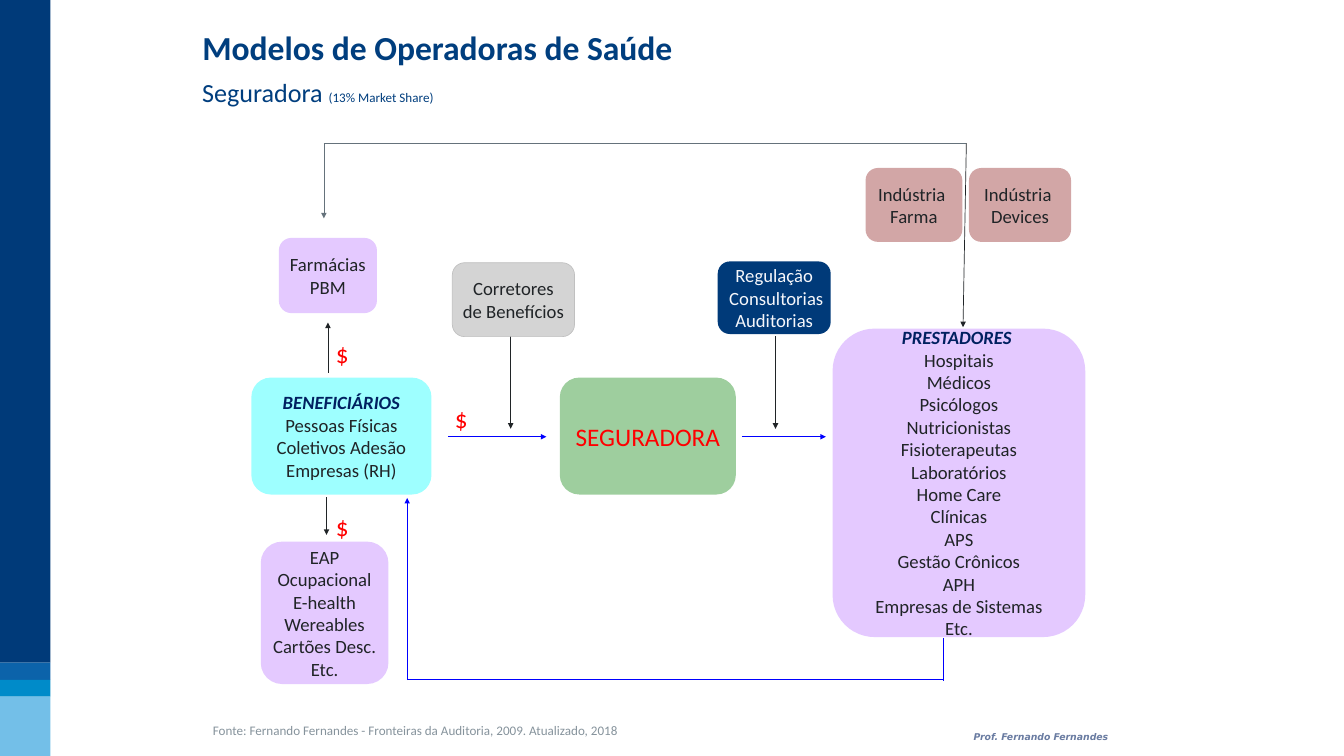
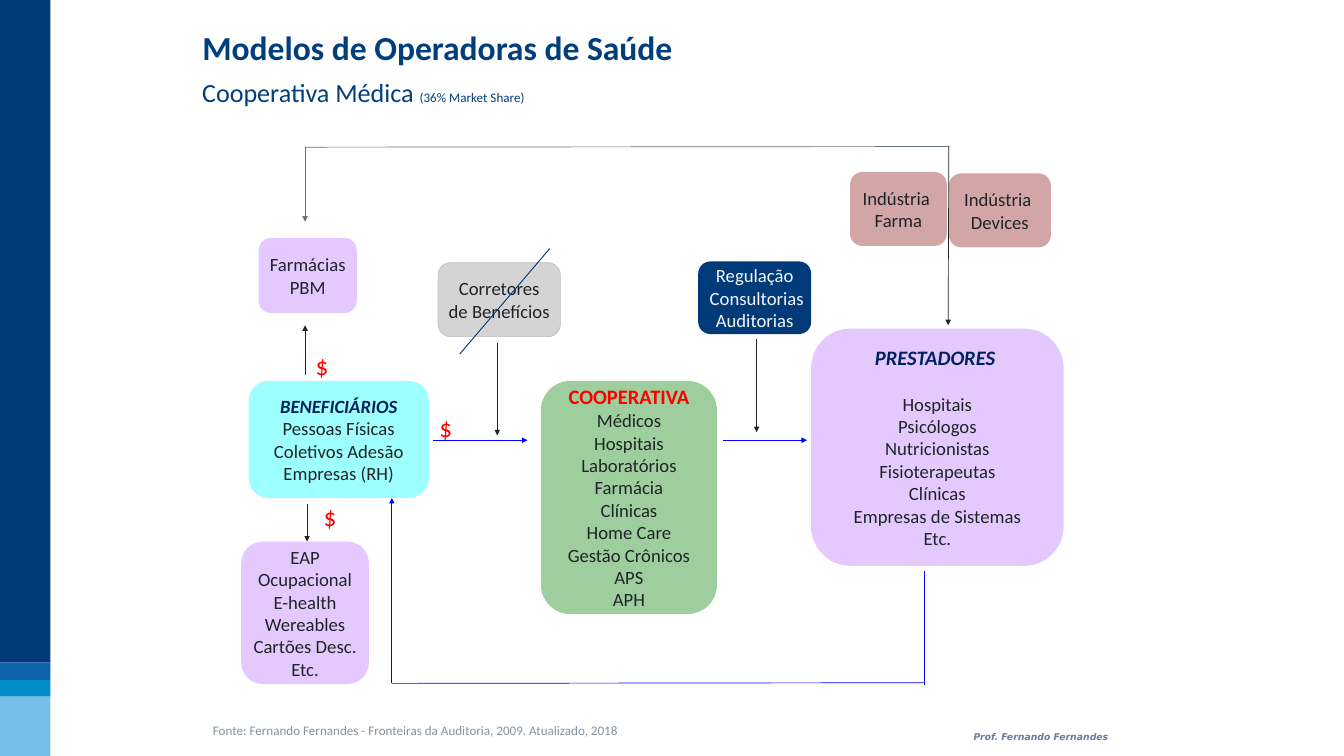
from dataclasses import dataclass, field
from typing import Any, NamedTuple

from lxml import etree
from pptx import Presentation
from pptx import util as u
from pptx.dml import color as dml
from pptx.enum import shapes, text
from pptx.oxml import ns

# Shared colours and text formats
NAVY, TITLE, HEAD = "003A79", "003E7E", "002060"
BLUE, DARK, GRAY, RED = "0000FF", "202427", "65727B", "FF0000"
LILAC, GREEN, ROSE = ("CC99FF", 52), ("008000", 38), ("800000", 35)

BODY = {"name": "Calibri", "size": u.Pt(20), "bold": False}
LEAD = BODY | {"bold": True, "italic": True}
BIG = BODY | {"size": u.Pt(27)}
SMALL = BODY | {"size": u.Pt(14)}
SIGN = {"name": "DejaVu Sans", "size": u.Pt(10), "bold": True, "italic": True}


class Run(NamedTuple):
    words: str
    style: dict[str, Any]
    ink: str


class Line(NamedTuple):
    x1: float
    y1: float
    x2: float
    y2: float
    ink: str
    arrow: bool = True
    width: float = 0.75


@dataclass
class Box:
    fill: tuple[str, int]
    width: float
    height: float
    body: list[str] = field(default_factory=list)
    head: Run | None = None
    gap: float = 0
    ink: str = DARK
    edge: str = ""


@dataclass
class Model:
    name: str
    share: str
    width: float
    boxes: list[tuple[Box, float, float]]
    lines: list[Line]
    cash: list[tuple[float, float]]
    strike: list[Line] = field(default_factory=list)


def rgb(code: str) -> dml.RGBColor:
    return dml.RGBColor.from_string(code)


def fade(shape: Any, alpha: int) -> None:
    """Make the first colour in a shape partly transparent."""
    tint = next(shape.element.iter(ns.qn("a:srgbClr")))
    etree.SubElement(tint, ns.qn("a:alpha"), val=str(alpha * 1000))


def write(para: Any, run: Run) -> None:
    part = para.add_run()
    part.text = run.words
    for key, value in run.style.items():
        setattr(part.font, key, value)
    part.font.color.rgb = rgb(run.ink)


def label(slide: Any, left: float, top: float, width: float, height: float,
          runs: list[Run], align: Any = text.PP_ALIGN.LEFT) -> Any:
    box = slide.shapes.add_textbox(*map(u.Pt, (left, top, width, height)))
    frame = box.text_frame
    frame.word_wrap = False
    frame.auto_size = text.MSO_AUTO_SIZE.SHAPE_TO_FIT_TEXT
    frame.paragraphs[0].alignment = align
    for run in runs:
        write(frame.paragraphs[0], run)
    return box


def block(slide: Any, form: Any, left: float, top: float, width: float,
          height: float, fill: str) -> Any:
    shape = slide.shapes.add_shape(form, *map(u.Pt, (left, top, width, height)))
    shape.shadow.inherit = False
    shape.fill.solid()
    shape.fill.fore_color.rgb = rgb(fill)
    shape.line.fill.background()
    return shape


def node(slide: Any, box: Box, left: float, top: float) -> None:
    fill, alpha = box.fill
    form = shapes.MSO_SHAPE.ROUNDED_RECTANGLE
    shape = block(slide, form, left, top, box.width, box.height, fill)
    if alpha < 100:
        fade(shape, alpha)
    if box.edge:
        shape.line.color.rgb = rgb(box.edge)
        shape.line.width = u.Pt(0.75)
    frame = shape.text_frame
    frame.word_wrap = False
    frame.vertical_anchor = text.MSO_ANCHOR.MIDDLE
    runs = [box.head] if box.head else []
    runs += [Run(words, BODY, box.ink) for words in box.body]
    for i, run in enumerate(runs):
        para = frame.add_paragraph() if i else frame.paragraphs[0]
        para.alignment = text.PP_ALIGN.CENTER
        if i == 1 and box.gap:
            para.space_before = u.Pt(box.gap)
        write(para, run)


def link(slide: Any, line: Line) -> None:
    wire = slide.shapes.add_connector(
        shapes.MSO_CONNECTOR.STRAIGHT, *map(u.Pt, line[:4]))
    wire.line.color.rgb = rgb(line.ink)
    wire.line.width = u.Pt(line.width)
    props = wire.element.spPr
    if line.arrow:
        stroke = props.find(ns.qn("a:ln"))
        etree.SubElement(stroke, ns.qn("a:tailEnd"), type="triangle")
    etree.SubElement(props, ns.qn("a:effectLst"))


def bands(slide: Any, layout: Any) -> None:
    """Draw the side bands and move them to the layout."""
    tops = [0, 710, 728.5, 746.5, 810]
    fills = [NAVY, "0C63AA", "008BC9", "73BFE8"]
    for top, end, fill in zip(tops, tops[1:], fills):
        band = block(slide, shapes.MSO_SHAPE.RECTANGLE,
                     -0.7, top, 54.7, end - top, fill)
        layout.shapes.element.append(band.element)


def heading(slide: Any, model: Model) -> None:
    title = slide.shapes.title
    spots = {"left": 209.5, "top": 25.2, "width": 532, "height": 51}
    for key, value in spots.items():
        setattr(title, key, u.Pt(value))
    frame = title.text_frame
    looks = {"word_wrap": False, "auto_size": text.MSO_AUTO_SIZE.NONE,
             "vertical_anchor": text.MSO_ANCHOR.TOP}
    for key, value in looks.items():
        setattr(frame, key, value)
    frame.paragraphs[0].alignment = text.PP_ALIGN.LEFT
    style = BODY | {"size": u.Pt(36), "bold": True}
    write(frame.paragraphs[0], Run("Modelos de Operadoras de Saúde", style, TITLE))
    label(slide, 209.5, 78.5, model.width, 41, [
        Run(model.name + " ", BODY | {"size": u.Pt(28)}, TITLE),
        Run(f"({model.share} Market Share)", SMALL, TITLE)])


def footer(slide: Any) -> None:
    source = ("Fonte: Fernando Fernandes - Fronteiras da Auditoria, 2009. "
              "Atualizado, 2018")
    label(slide, 221, 770.4, 453, 24.5, [Run(source, SMALL, "86939C")])
    sign = label(slide, 1034.6, 779.8, 161.3, 19.4,
                 [Run("Prof. Fernando Fernandes", SIGN, HEAD)],
                 text.PP_ALIGN.CENTER)
    fade(sign, 59)


def draw(slide: Any, model: Model) -> None:
    heading(slide, model)
    for line in model.lines:
        link(slide, line)
    for box, left, top in model.boxes:
        node(slide, box, left, top)
    for line in model.strike:
        link(slide, line)
    for left, top in model.cash:
        label(slide, left, top, 24.5, 28.8, [Run("$", BIG, RED)])
    footer(slide)


# Boxes found in both models
PAYER = Box(("00FFFF", 38), 193, 125.3,
            ["Pessoas Físicas", "Coletivos Adesão", "Empresas (RH)"],
            Run("BENEFICIÁRIOS", LEAD, HEAD))
PHARMA = Box(ROSE, 103.7, 79.2, ["Indústria ", "Farma"])
DEVICE = Box(ROSE, 109.4, 79.2, ["Indústria ", "Devices"])
STORE = Box(LILAC, 105.1, 80.6, ["Farmácias", "PBM"])
EXTRA = Box(LILAC, 136.8, 152.6, ["EAP", "Ocupacional", "E-health", "Wereables",
                                  "Cartões Desc.", "Etc."])
BROKER = Box(("C0C0C0", 68), 131, 79.2, ["Corretores", "de Benefícios"],
             edge="C0C0C0")
AUDIT = Box((NAVY, 100), 121, 77.8, ["Regulação", " Consultorias", "Auditorias"],
            ink="F6F7FB")

# Boxes of one model each
INSURER = Box(GREEN, 188.6, 125.3, head=Run("SEGURADORA", BIG, RED))
COOP = Box(GREEN, 188.6, 249.8,
           ["Médicos", "Hospitais", "Laboratórios", "Farmácia", "Clínicas",
            "Home Care", "Gestão Crônicos", "APS", "APH"],
           Run("COOPERATIVA", BODY | {"size": u.Pt(22), "bold": True}, RED))
CARE = Box(LILAC, 270.7, 330.5,
           ["Hospitais", "Médicos", "Psicólogos", "Nutricionistas",
            "Fisioterapeutas", "Laboratórios", "Home Care", "Clínicas", "APS",
            "Gestão Crônicos", "APH", "Empresas de Sistemas", "Etc."],
           Run("PRESTADORES ", LEAD, HEAD))
FEWER = Box(LILAC, 270.7, 254.2,
            ["Hospitais", "Psicólogos", "Nutricionistas", "Fisioterapeutas",
             "Clínicas", "Empresas de Sistemas", "Etc."],
            Run("PRESTADORES ", LEAD | {"size": u.Pt(22)}, HEAD), gap=24.4)

MODELS = [
    Model(
        "Seguradora", "13%", 265.7,
        [(PAYER, 269.3, 404.6), (INSURER, 599.8, 404.6), (PHARMA, 927.4, 180),
         (DEVICE, 1038.2, 180), (STORE, 298.8, 254.9), (EXTRA, 279.4, 580.3),
         (BROKER, 484.6, 281.5), (AUDIT, 769, 280.1), (CARE, 892.1, 352.1)],
        [Line(480.2, 468, 585.4, 468, BLUE),
         Line(794.9, 468, 884.9, 468, BLUE),
         Line(547.2, 360, 547.2, 459.4, DARK),
         Line(830.9, 360, 830.9, 459.4, DARK),
         Line(436.3, 728.6, 436.3, 533.5, BLUE),
         Line(436.3, 728, 1010.9, 728, BLUE, False),
         Line(1010.9, 729.4, 1010.9, 683.3, BLUE, False),
         Line(1035.4, 153.4, 1031.8, 350.6, DARK),
         Line(347, 153.4, 1035.4, 153.4, GRAY, False),
         Line(347, 153.4, 347, 234, GRAY),
         Line(351.4, 399.6, 351.4, 345.6, DARK),
         Line(349.9, 532.8, 349.9, 573.1, DARK)],
        [(352.8, 359.3), (480.2, 429.1), (352.8, 544.3)]),
    Model(
        "Cooperativa Médica", "36%", 376.6,
        [(PAYER, 266.4, 408.2), (COOP, 579.6, 408.2), (PHARMA, 910.8, 184.3),
         (DEVICE, 1016.6, 185.8), (STORE, 277.2, 254.9), (EXTRA, 258.5, 580.3),
         (BROKER, 469.4, 281.5), (AUDIT, 748.1, 280.1), (FEWER, 869, 352.1)],
        [Line(463.7, 471.6, 565.2, 471.6, BLUE),
         Line(774.7, 471.6, 864.7, 471.6, BLUE),
         Line(532.8, 367.2, 532.8, 466.6, DARK),
         Line(810.7, 363.6, 810.7, 463, DARK),
         Line(419.8, 732.2, 419.8, 533.5, BLUE),
         Line(419.8, 732.2, 990.7, 731.5, BLUE, False),
         Line(990.7, 733.7, 990.7, 612, BLUE, False),
         Line(1016.6, 157.7, 1015.9, 348.5, DARK),
         Line(326.9, 157.7, 1017.4, 157, GRAY, False),
         Line(326.9, 157.7, 326.9, 237.6, GRAY),
         Line(326.9, 401.8, 326.9, 348.5, DARK),
         Line(329, 540, 329, 580.3, DARK)],
        [(331.2, 372.2), (463.7, 438.5), (339.8, 533.5)],
        [Line(492.5, 379.4, 589, 266.4, NAVY, False, 1)]),
]


def main() -> None:
    deck = Presentation()
    deck.slide_width, deck.slide_height = u.Pt(1440), u.Pt(810)
    layout = deck.slide_layouts[5]
    for i, model in enumerate(MODELS):
        slide = deck.slides.add_slide(layout)
        if i == 0:
            bands(slide, layout)
        draw(slide, model)
    deck.save("out.pptx")


if __name__ == "__main__":
    main()
